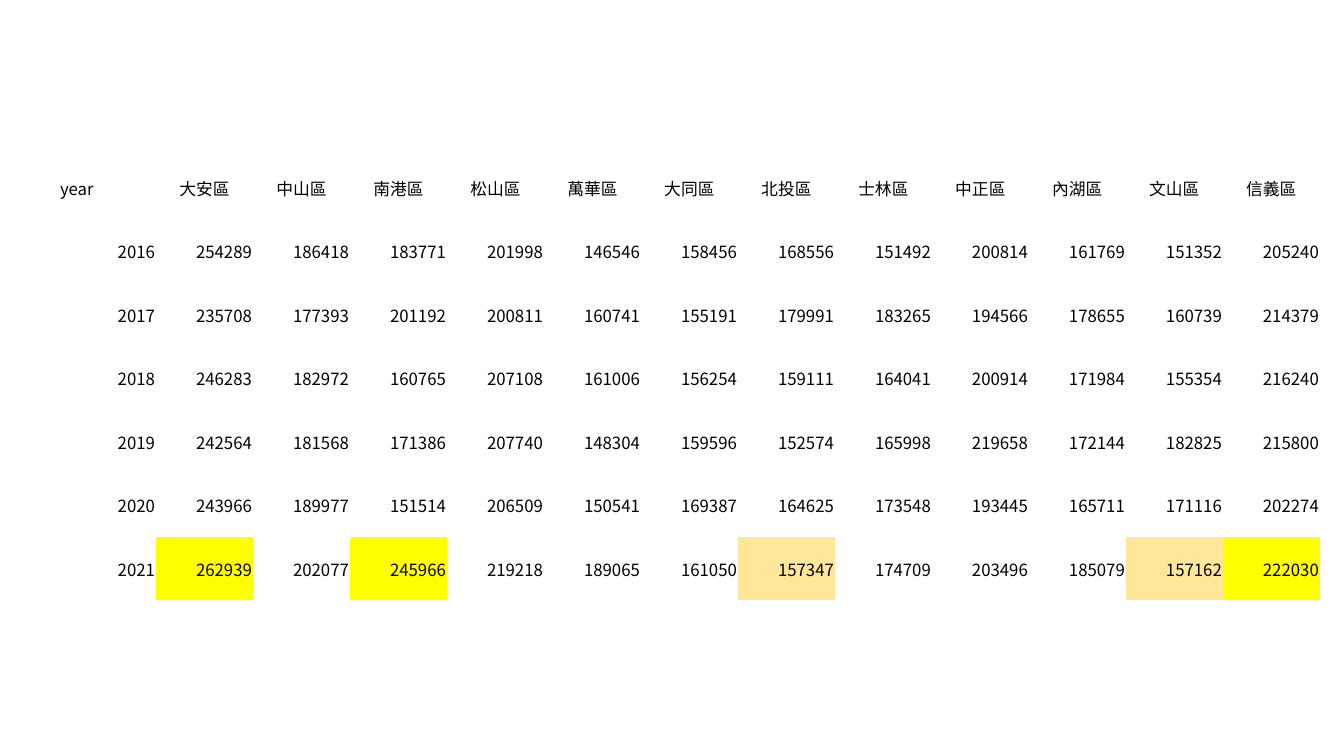
from lxml.etree import SubElement
from pptx import Presentation
from pptx.dml.color import RGBColor
from pptx.enum.text import MSO_ANCHOR, PP_ALIGN
from pptx.oxml.ns import qn
from pptx.util import Pt

SCALE = 914400 / 100.8
FACE = "Noto Sans CJK TC"
PLAIN = "{2D5ABB26-0587-4C30-8999-92F81FD0307C}"
COLORS = {"ink": "000000", "high": "FFFF00", "low": "FFE699"}
HEAD = "year 大安區 中山區 南港區 松山區 萬華區 大同區 北投區 士林區 中正區 內湖區 文山區 信義區".split()
PRICES = [
    [2016, 254289, 186418, 183771, 201998, 146546, 158456, 168556, 151492, 200814, 161769, 151352, 205240],
    [2017, 235708, 177393, 201192, 200811, 160741, 155191, 179991, 183265, 194566, 178655, 160739, 214379],
    [2018, 246283, 182972, 160765, 207108, 161006, 156254, 159111, 164041, 200914, 171984, 155354, 216240],
    [2019, 242564, 181568, 171386, 207740, 148304, 159596, 152574, 165998, 219658, 172144, 182825, 215800],
    [2020, 243966, 189977, 151514, 206509, 150541, 169387, 164625, 173548, 193445, 165711, 171116, 202274],
    [2021, 262939, 202077, 245966, 219218, 189065, 161050, 157347, 174709, 203496, 185079, 157162, 222030],
]
MARKS = {"大安區": "high", "南港區": "high", "信義區": "high", "北投區": "low", "文山區": "low"}


def px(size):
    """Turn pixels into EMU."""
    return round(size * SCALE)


def set_all(item, form):
    """Set each attribute in a dict of format values."""
    for name, value in form.items():
        setattr(item, name, value)


def fill_cell(cell, text, align, mark):
    """Write and format one cell, with a fill if it is marked."""
    set_all(cell, {
        "text": str(text), "vertical_anchor": MSO_ANCHOR.MIDDLE,
        "margin_left": px(1), "margin_right": px(1),
        "margin_top": px(1), "margin_bottom": 0,
    })
    if mark:
        cell.fill.solid()
        cell.fill.fore_color.rgb = RGBColor.from_string(COLORS[mark])
    else:
        cell.fill.background()
    para = cell.text_frame.paragraphs[0]
    para.alignment = align
    run = para.runs[0]
    set_all(run.font, {"name": FACE, "size": Pt(12)})
    run.font.color.rgb = RGBColor.from_string(COLORS["ink"])
    SubElement(run.font._element, qn("a:ea"), typeface=FACE)


def add_prices(slide, left, top, width, height):
    """Place the table of prices by year and district in a box."""
    rows = [HEAD] + PRICES
    box = map(px, (left, top, width, height))
    frame = slide.shapes.add_table(len(rows), len(HEAD), *box)
    table = frame.table
    set_all(table, {"first_row": False, "horz_banding": False})
    for style in frame.element.iter(qn("a:tableStyleId")):
        style.text = PLAIN
    for col in table.columns:
        col.width = px(width / len(HEAD))
    for y, row in enumerate(rows):
        table.rows[y].height = px(height / len(rows))
        for x, text in enumerate(row):
            align = PP_ALIGN.RIGHT
            if y == 0:
                align = PP_ALIGN.CENTER if x else PP_ALIGN.LEFT
            mark = MARKS.get(HEAD[x]) if row is rows[-1] else None
            fill_cell(table.cell(y, x), text, align, mark)


def main():
    """Build the deck and save it."""
    deck = Presentation()
    set_all(deck, {"slide_width": px(1344), "slide_height": px(756)})
    slide = deck.slides.add_slide(deck.slide_layouts[6])
    add_prices(slide, 59, 156, 1261, 444)
    deck.save("out.pptx")


if __name__ == "__main__":
    main()
